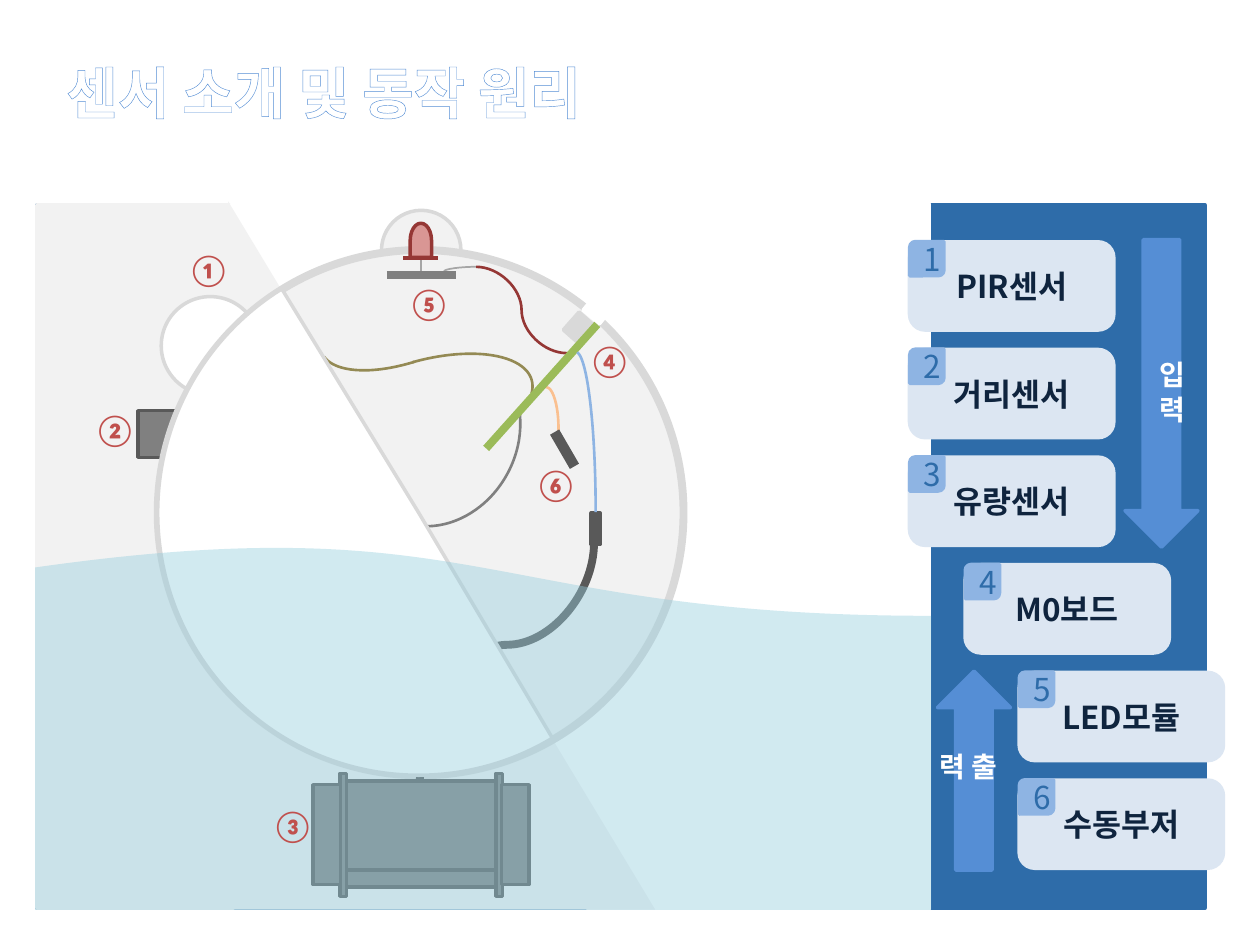
"""Build the slide on the sensors of the buoy and how they work."""
import lxml.etree
import pptx
import pptx.dml.color
import pptx.enum.shapes
import pptx.enum.text
import pptx.oxml.ns
import pptx.util

Cm = pptx.util.Cm
Pt = pptx.util.Pt
qn = pptx.oxml.ns.qn
RGB = pptx.dml.color.RGBColor.from_string
S = pptx.enum.shapes.MSO_SHAPE
C = pptx.enum.shapes.MSO_CONNECTOR
ANCHOR = pptx.enum.text.MSO_ANCHOR
ALIGN = pptx.enum.text.PP_ALIGN
KR = "Noto Sans CJK KR"
COLORS = {
    "white": "FFFFFF", "panel": "2E6CA9", "pale": "F2F2F2", "silver": "D9D9D9",
    "light": "A6A6A6", "gray": "808080", "dark": "595959", "olive": "948A54",
    "rose": "D99694", "maroon": "953735", "orange": "FAC090", "green": "9BBB59",
    "sky": "8EB4E3", "water": "93CDDD", "card": "DCE6F2", "navy": "0F243E",
    "outline": "376092", "arrow": "558ED5", "red": "C0504D",
}


def draw(kind, box, fill=None, line=None, width=2, rot=0, adj=()):
    """Add a shape (left, top, width, height) or a connector (from, to)."""
    a, b, c, d = map(Cm, box)
    if isinstance(kind, C):
        sp = s.shapes.add_connector(kind, a, b, c, d)
        lxml.etree.SubElement(sp._element.spPr, qn("a:effectLst"))
        if rot:
            sp._element.spPr.find(qn("a:xfrm")).set("rot", str(rot * 60000))
        for value in adj:
            guides = sp._element.spPr.find(qn("a:prstGeom")).find(qn("a:avLst"))
            lxml.etree.SubElement(guides, qn("a:gd"), name="adj1", fmla=f"val {round(value * 100000)}")
    else:
        sp = s.shapes.add_shape(kind, a, b, c, d)
        sp.shadow.inherit = False
        sp.rotation = rot
        for i, value in enumerate(adj):
            sp.adjustments[i] = value
        if fill:
            sp.fill.solid()
            sp.fill.fore_color.rgb = RGB(COLORS[fill])
        else:
            sp.fill.background()
    if line:
        sp.line.color.rgb = RGB(COLORS[line])
        sp.line.width = Pt(width)
    else:
        sp.line.fill.background()
    return sp


def write(sp, text, size, color, bold=True, font=KR, align=ALIGN.CENTER, outline=None, alpha=0):
    """Set the text of a shape, with an optional letter outline."""
    tf = sp.text_frame
    p = tf.paragraphs[0]
    r = p.add_run()
    r.text = text
    p.alignment = align
    p.font.size = Pt(size)
    p.font.bold = bold
    p.font.name = font
    p.font.color.rgb = RGB(COLORS[color])
    rpr = r._r.get_or_add_rPr()
    if outline:
        ln = lxml.etree.SubElement(rpr, qn("a:ln"), w=str(Pt(0.75)))
        solid = lxml.etree.SubElement(ln, qn("a:solidFill"))
        clr = lxml.etree.SubElement(solid, qn("a:srgbClr"), val=COLORS[outline])
        if alpha < 100:
            lxml.etree.SubElement(clr, qn("a:alpha"), val=str(alpha * 1000))
    lxml.etree.SubElement(rpr, qn("a:ea"), typeface=font)
    return tf


prs = pptx.Presentation()
prs.slide_width, prs.slide_height = Cm(25.4), Cm(19.05)
s = prs.slides.add_slide(prs.slide_layouts[6])

title = s.shapes.add_textbox(Cm(1.09), Cm(0.74), Cm(21.29), Cm(2.21))
tf = write(title, "센서 소개 및 동작 원리", 32, "white", align=ALIGN.LEFT, outline="arrow", alpha=100)
tf.word_wrap = True
tf.vertical_anchor = ANCHOR.MIDDLE

background = [
    (S.RECTANGLE, (0.74, 4.13, 23.55, 14.18), "panel", "panel"),
    (S.RECTANGLE, (0.74, 4.13, 3.96, 14.18), "pale", "pale"),
    (S.RIGHT_TRIANGLE, (4.65, 4.13, 7.21, 14.2), "white", "white", 2, 180),
    (S.RECTANGLE, (11.87, 4.11, 6.86, 14.22), "white", "white"),
    (S.RIGHT_TRIANGLE, (4.6, 4.06, 8.61, 14.28), "pale"),
]
buoy = [
    (S.RECTANGLE, (2.78, 8.28, 0.81, 0.94), "gray", "dark"),
    (S.CHORD, (3.25, 5.98, 1.98, 1.98), "white", "silver", 2, 59.9),
    (S.CHORD, (7.69, 4.24, 1.6, 1.6), "pale", "silver", 2, 112.1),
    (S.OVAL, (3.18, 5.04, 10.6, 10.59), "pale", "silver", 4.5),
    (S.ARC, (6.94, 7.19, 3.76, 3.2), None, "gray", 1.5, 118.5, (135.88, 203.88)),
    (S.ARC, (6.41, 7.26, 4.39, 1.98), None, "olive", 1.5, 344.5, (161.31, 4.11)),
    (S.ARC, (6.27, 5.16, 4.62, 1.98), None, "olive", 1.5, 155.5, (183.63, 214.51)),
    (C.CURVE, (7.82, 11.58, 12.62, 15.09), None, "dark", 4.5, 90, (0.43,)),
    (S.PIE, (3.18, 5.04, 10.52, 10.59), "white", "silver", 2, 0, (35.59, 143.13)),
]
led = [
    (S.FLOWCHART_DELAY, (8.14, 4.63, 0.69, 0.43), "rose", "maroon", 2, 270),
    (C.STRAIGHT, (8.49, 5.21, 8.49, 5.54), None, "light", 1.5),
    (C.CURVE, (8.99, 5.56, 9.6, 5.38), None, "light", 1, 0, (-0.06,)),
    (C.STRAIGHT, (7.8, 5.55, 9.19, 5.55), None, "gray", 4.5),
    (C.STRAIGHT, (8.13, 5.21, 8.83, 5.21), None, "maroon", 2.25),
]
flow_meter = [
    (S.RECTANGLE, box, "gray", "dark") for box in (
        (6.99, 15.75, 3, 1.78), (6.86, 15.59, 0.13, 2.48), (10, 15.59, 0.13, 2.48),
        (6.99, 17.55, 3, 0.33), (6.31, 15.82, 0.56, 2.01), (10.11, 15.82, 0.56, 2.01))
]
board = [
    (S.RECTANGLE, (11.81, 5.94, 0.61, 0.43), "white", "white", 2, 309.4),
    (C.CURVE, (9.6, 5.38, 11.43, 7.12), None, "maroon", 1.5, 0, (0.5,)),
    (S.ARC, (10.75, 7.8, 0.51, 1.68), None, "orange", 1.5, 0, (161.43, 9)),
    (S.RECTANGLE, (11.43, 6.4, 0.48, 0.41), "silver", "silver", 2, 311.5),
    (C.STRAIGHT, (9.8, 9.04, 12.04, 6.54), None, "green", 4.5),
    (S.RECTANGLE, (11.92, 10.34, 0.18, 0.64), "dark", "dark"),
    (S.ARC, (11.2, 7.09, 0.81, 6.48), None, "sky", 1.5, 0, (162.36, 215.39)),
    (C.STRAIGHT, (11.18, 8.71, 11.58, 9.4), None, "dark", 6),
]
for part in background + buoy + led + flow_meter + board:
    draw(*part)

water = draw(S.FLOWCHART_DOCUMENT, (0.71, 10.95, 18.06, 7.39), "water", rot=180)
water._element.spPr.find(qn("a:xfrm")).set("flipH", "1")
clr = water._element.spPr.find(qn("a:solidFill"))[0]
lxml.etree.SubElement(clr, qn("a:alpha"), val="42000")

markers = [("①", 3.54, 4.91), ("②", 1.65, 8.14), ("③", 5.23, 16.13),
           ("⑤", 7.98, 5.61), ("④", 11.62, 6.76), ("⑥", 10.54, 9.25)]
for mark, x, y in markers:
    sp = s.shapes.add_textbox(Cm(x), Cm(y), Cm(1.14), Cm(1.02))
    write(sp, mark, 18, "red", font="Calibri", align=ALIGN.LEFT).word_wrap = False

cards = [("PIR센서", 18.3), ("거리센서", 18.3), ("유량센서", 18.3),
         ("M0보드", 19.42), ("LED모듈", 20.51), ("수동부저", 20.51)]
for i, (name, x) in enumerate(cards):
    y = 4.84 + 2.17 * i
    sp = draw(S.ROUNDED_RECTANGLE, (x, y, 4.19, 1.85), "card", adj=(0.19,))
    write(sp, name, 18, "navy", outline="outline").vertical_anchor = ANCHOR.MIDDLE
    sp = draw(S.ROUND_2_DIAG_RECTANGLE, (x + 0.04, y + 0.03, 0.69, 0.69), "sky", "sky")
    write(sp, str(i + 1), 18, "panel", bold=False, outline="outline").vertical_anchor = ANCHOR.MIDDLE

arrows = [(S.DOWN_ARROW, (22.68, 4.83, 1.47, 6.2), "입 력", (23.23, 7.08, 0.8, 1.6)),
          (S.UP_ARROW, (18.9, 13.53, 1.47, 4.01), "력 출", (18.73, 14.94, 1.6, 1))]
for kind, box, label, label_box in arrows:
    draw(kind, box, "arrow", "arrow")
    sp = s.shapes.add_textbox(*map(Cm, label_box))
    tf = write(sp, label, 16, "white")
    tf.word_wrap = True
    tf.vertical_anchor = ANCHOR.MIDDLE
    tf.margin_left = tf.margin_right = tf.margin_top = tf.margin_bottom = 0
    tf.paragraphs[0].line_spacing = Pt(20)

prs.save("out.pptx")
